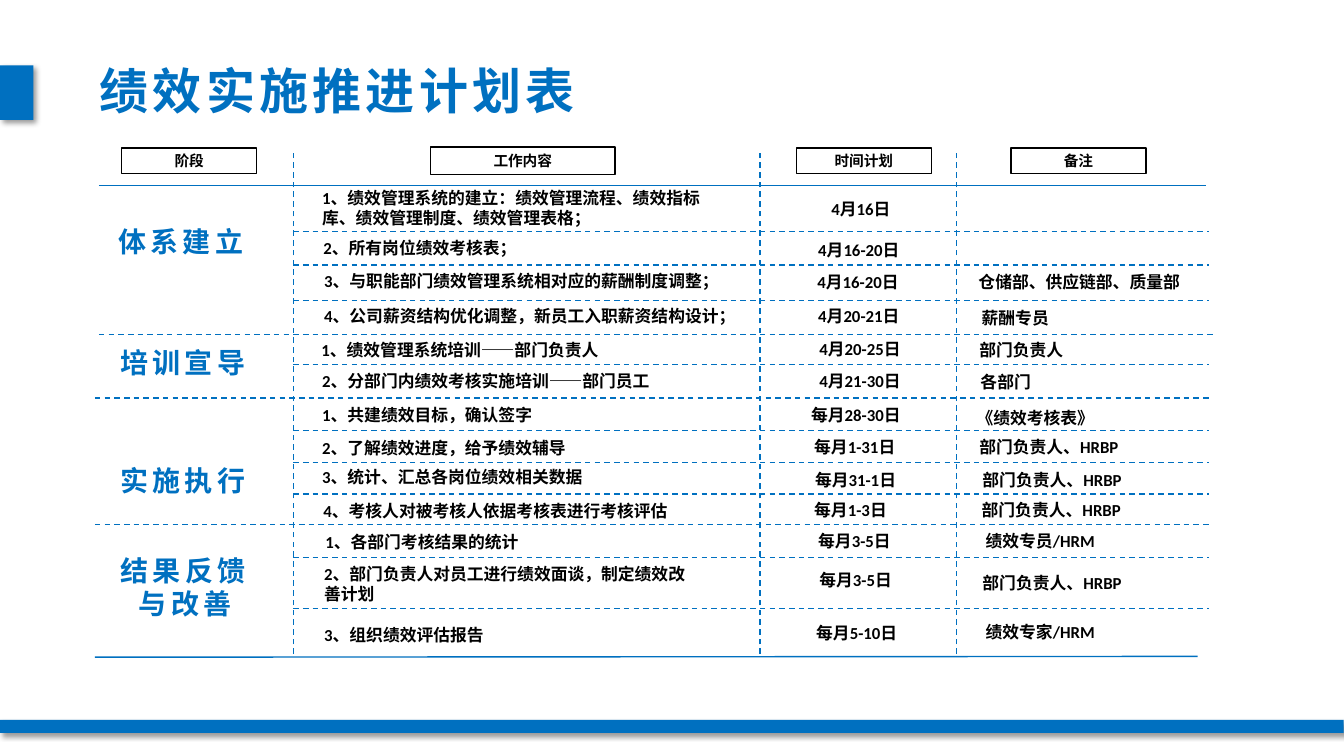
from typing import NamedTuple

from lxml import etree
from pptx import Presentation
from pptx.dml.color import RGBColor
from pptx.enum.dml import MSO_LINE
from pptx.enum.shapes import MSO_CONNECTOR, MSO_SHAPE
from pptx.enum.text import MSO_ANCHOR, PP_ALIGN
from pptx.oxml.ns import qn
from pptx.util import Cm, Pt

RECT, STRAIGHT, DASH = MSO_SHAPE.RECTANGLE, MSO_CONNECTOR.STRAIGHT, MSO_LINE.DASH
MIDDLE, CENTER, LEFT = MSO_ANCHOR.MIDDLE, PP_ALIGN.CENTER, PP_ALIGN.LEFT
COLORS = {"blue": "0070C0", "black": "000000", "white": "FFFFFF"}

TITLE = {"name": "Lato", "size": Pt(35), "bold": True}
STAGE = {"name": "Lato", "size": Pt(20), "bold": True}
HEADER = {"name": "Calibri", "size": Pt(10.5), "bold": True}
BODY = {"name": "Calibri", "size": Pt(12), "bold": True}


class Box(NamedTuple):
    text: str
    x: float
    y: float
    w: float
    h: float


class Rule(NamedTuple):
    x1: float
    y1: float
    x2: float
    y2: float
    dashed: bool = True


def work(text: str, x: float, y: float, w: float = 9.63, h: float = 0.61) -> Box:
    return Box(text, x, y, w, h)


def when(text: str, x: float, y: float, w: float = 3.25) -> Box:
    return Box(text, x, y, w, 0.66)


def note(text: str, x: float, y: float, w: float = 4.32) -> Box:
    return Box(text, x, y, w, 0.66)


BANDS = [Box("", 0, 1.65, 0.84, 1.37), Box("", 0, 18.14, 33.86, 0.33)]
HEADING = Box("绩效实施推进计划表", 0.46, 1.4, 16.08, 1.75)
STAGES = [
    Box("体系建立", 2.67, 5.54, 3.78, 1.12),
    Box("培训宣导", 2.72, 8.59, 3.78, 1.12),
    Box("实施执行", 2.72, 11.56, 3.78, 1.12),
    Box("结果反馈与改善", 2.67, 13.82, 3.99, 1.96),
]
HEADERS = [
    Box("阶段", 3.07, 3.73, 3.4, 0.64),
    Box("工作内容", 10.85, 3.71, 4.65, 0.69),
    Box("时间计划", 20.07, 3.73, 3.4, 0.64),
    Box("备注", 25.48, 3.73, 3.4, 0.64),
]
# One line per task: work, time, remark
TASKS = [
    [work("1、绩效管理系统的建立：绩效管理流程、绩效指标库、绩效管理制度、绩效管理表格；",
          7.87, 4.72, 10.44, 1.02),
     when("4月16日", 20.7, 4.93)],
    [work("2、所有岗位绩效考核表；", 7.9, 5.92, 10.44, 0.66),
     when("4月16-20日", 20.37, 5.97)],
    [work("3、与职能部门绩效管理系统相对应的薪酬制度调整；", 7.92, 6.73, 10.44, 0.69),
     when("4月16-20日", 20.35, 6.76), note("仓储部、供应链部、质量部", 24.41, 6.76, 5.61)],
    [work("4、公司薪资结构优化调整，新员工入职薪资结构设计；", 7.92, 7.57, 11.25, 0.79),
     when("4月20-21日", 20.37, 7.62), note("薪酬专员", 24.49, 7.67)],
    [work("1、绩效管理系统培训——部门负责人", 7.85, 8.51),
     when("4月20-25日", 20.4, 8.46), note("部门负责人", 24.43, 8.48)],
    [work("2、分部门内绩效考核实施培训——部门员工", 7.87, 9.3),
     when("4月21-30日", 20.4, 9.27), note("各部门", 24.46, 9.3)],
    [work("1、共建绩效目标，确认签字", 7.87, 10.16),
     when("每月28-30日", 20.19, 10.13), note("《绩效考核表》", 24.36, 10.19)],
    [work("2、了解绩效进度，给予绩效辅导", 7.87, 10.97),
     when("每月1-31日", 20.27, 10.92, 3.71), note("部门负责人、HRBP", 24.43, 10.92)],
    [work("3、统计、汇总各岗位绩效相关数据", 7.87, 11.71),
     when("每月31-1日", 20.29, 11.76, 3.71), note("部门负责人、HRBP", 24.51, 11.76)],
    [work("4、考核人对被考核人依据考核表进行考核评估", 7.9, 12.57),
     when("每月1-3日", 20.27, 12.52, 3.71), note("部门负责人、HRBP", 24.49, 12.52)],
    [work("1、各部门考核结果的统计", 7.95, 13.34),
     when("每月3-5日", 20.37, 13.31, 3.71), note("绩效专员/HRM", 24.59, 13.31)],
    [work("2、部门负责人对员工进行绩效面谈，制定绩效改善计划", 7.92, 14.2, h=1.02),
     when("每月3-5日", 20.4, 14.27, 3.07), note("部门负责人、HRBP", 24.51, 14.35)],
    [work("3、组织绩效评估报告", 7.92, 15.49, h=1.02),
     when("每月5-10日", 20.32, 15.62, 3.71), note("绩效专家/HRM", 24.59, 15.6)],
]
COLUMN_XS = [7.39, 19.15, 24.1]
TASK_YS = [5.84, 6.68, 7.57, 9.19, 10.85, 11.66, 12.45, 14.05, 15.34]
RULES = [
    Rule(2.49, 4.67, 30.38, 4.67, dashed=False),
    Rule(2.49, 8.43, 30.58, 8.43),
    Rule(2.39, 10.03, 30.48, 10.03),
    Rule(2.39, 13.21, 30.48, 13.21),
    Rule(2.39, 16.56, 30.18, 16.54, dashed=False),
    *[Rule(COLUMN_XS[0], y, 30.48, y) for y in TASK_YS],
    *[Rule(x, 16.48, x, 3.84) for x in COLUMN_XS],
]


def rgb(color: str) -> RGBColor:
    return RGBColor.from_string(COLORS[color])


def write(sp, text: str, fmt: dict, color: str, align, spacing: int = 0) -> None:
    p = sp.text_frame.paragraphs[0]
    p.alignment = align
    r = p.add_run()
    r.text = text
    for key, value in fmt.items():
        setattr(r.font, key, value)
    r.font.color.rgb = rgb(color)
    if spacing:
        r.font._element.set("spc", str(spacing))


def add_rect(s, box: Box, fill: str, outlined: bool = False):
    sp = s.shapes.add_shape(RECT, Cm(box.x), Cm(box.y), Cm(box.w), Cm(box.h))
    sp.shadow.inherit = False
    sp.fill.solid()
    sp.fill.fore_color.rgb = rgb(fill)
    if outlined:
        sp.line.color.rgb = rgb("black")
        sp.line.width = Pt(1)
    else:
        sp.line.fill.background()
    return sp


def add_band(s, box: Box) -> None:
    sp = add_rect(s, box, "blue")
    effects = sp._element.spPr.find(qn("a:effectLst"))
    shadow = etree.SubElement(effects, qn("a:outerShdw"), blurRad=str(Pt(4)),
                              dist=str(Pt(3)), dir="2700000", algn="tl", rotWithShape="0")
    tint = etree.SubElement(shadow, qn("a:srgbClr"), val=COLORS["black"])
    etree.SubElement(tint, qn("a:alpha"), val="40000")


def add_cell(s, box: Box, fmt: dict, align, outlined: bool = False) -> None:
    sp = add_rect(s, box, "white", outlined)
    sp.text_frame.word_wrap = True
    sp.text_frame.vertical_anchor = MIDDLE
    write(sp, box.text, fmt, "black", align)


def add_label(s, box: Box, fmt: dict) -> None:
    sp = s.shapes.add_textbox(Cm(box.x), Cm(box.y), Cm(box.w), Cm(box.h))
    sp.text_frame.word_wrap = True
    write(sp, box.text, fmt, "blue", CENTER, spacing=300)


def add_rule(s, rule: Rule) -> None:
    sp = s.shapes.add_connector(STRAIGHT, Cm(rule.x1), Cm(rule.y1), Cm(rule.x2), Cm(rule.y2))
    sp.line.color.rgb = rgb("blue")
    sp.line.width = Pt(1)
    if rule.dashed:
        sp.line.dash_style = DASH
    etree.SubElement(sp._element.spPr, qn("a:effectLst"))


def main() -> None:
    prs = Presentation()
    prs.slide_width, prs.slide_height = Cm(33.87), Cm(19.05)
    s = prs.slides.add_slide(prs.slide_layouts[6])

    # Title and blue bands
    for band in BANDS:
        add_band(s, band)
    add_label(s, HEADING, TITLE)

    # Stages and tasks
    for stage in STAGES:
        add_label(s, stage, STAGE)
    for task in TASKS:
        for cell in task:
            add_cell(s, cell, BODY, LEFT)

    # Column headers
    for header in HEADERS:
        add_cell(s, header, HEADER, CENTER, outlined=True)

    # Grid lines
    for rule in RULES:
        add_rule(s, rule)

    prs.save("out.pptx")


if __name__ == "__main__":
    main()
